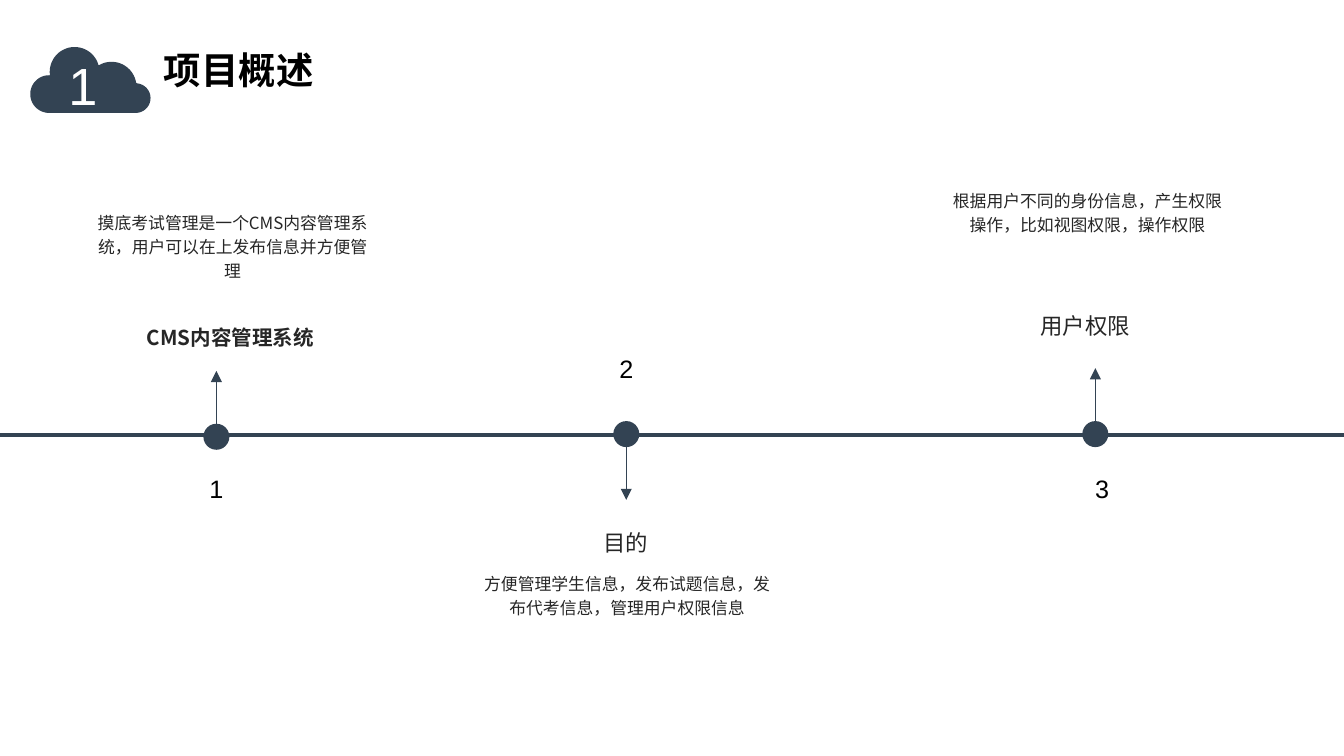
"""Build the project overview slide: a timeline with three stops."""
from dataclasses import dataclass
from math import cos, radians, sin

from lxml import etree
from pptx import Presentation, util as u
from pptx.dml.color import RGBColor
from pptx.enum import shapes, text
from pptx.oxml.ns import qn

NAVY = RGBColor(0x33, 0x43, 0x53)
DARK = RGBColor(0x26, 0x26, 0x26)
BLACK = RGBColor(0, 0, 0)
WHITE = RGBColor(0xFF, 0xFF, 0xFF)
CJK, LATIN = "Noto Sans CJK SC", "Arial"
COLS, ROWS = 100, 56.25
CELL = u.Inches(0.1)
AXIS, RADIUS, ARROW, HEADING_WIDTH = 32.4, 0.9, 4, 23.3


@dataclass(frozen=True)
class Style:
    size: float
    color: RGBColor
    font: str = CJK
    bold: bool = False
    leading: float | None = None
    align: text.PP_ALIGN = text.PP_ALIGN.CENTER


@dataclass(frozen=True)
class Stop:
    number: str
    col: float
    row: float
    direction: int
    number_at: tuple[float, float]
    heading: str
    heading_at: tuple[float, float]
    heading_style: Style
    body: str
    body_at: tuple[float, float]
    body_size: tuple[float, float]


@dataclass(frozen=True)
class Lobe:
    col: float
    row: float
    radius: float
    start: int
    end: int


TITLE = Style(20, BLACK, bold=True, leading=24, align=text.PP_ALIGN.LEFT)
HEADING = Style(12, DARK, leading=14.4)
BOLD_HEADING = Style(11, DARK, bold=True, leading=13.2)
BODY = Style(9, DARK, leading=13)
NUMBER = Style(13.5, BLACK, LATIN)
BADGE = Style(28, WHITE, LATIN, align=text.PP_ALIGN.LEFT)

STOPS = (
    Stop("1", 16.1, 32.5, -1, (12.7, 34.7), "CMS内容管理系统", (5.5, 23.7), BOLD_HEADING,
         "摸底考试管理是一个CMS内容管理系统，用户可以在上发布信息并方便管理", (5.7, 15), (23.2, 9.2)),
    Stop("2", 46.6, 32.3, 1, (43.2, 25.8), "目的", (34.9, 38.9), HEADING,
         "方便管理学生信息，发布试题信息，发布代考信息，管理用户权限信息", (35, 41.9), (23.3, 8.6)),
    Stop("3", 81.5, 32.3, -1, (78.6, 34.7), "用户权限", (69.1, 22.7), HEADING,
         "根据用户不同的身份信息，产生权限操作，比如视图权限，操作权限", (69.3, 13.4), (23.2, 7.8)),
)
CLOUD = (
    Lobe(3.65, 7, 1.4, 90, 270),
    Lobe(5.55, 5.35, 1.85, 172, 346),
    Lobe(8.3, 6.45, 1.85, 237, 352),
    Lobe(10.1, 7.3, 1.1, 275, 450),
)


def grid(cells: float) -> int:
    """Convert grid cells to a length."""
    return round(cells * CELL)


def write(sp, words: str, style: Style) -> None:
    """Put one styled paragraph in a shape."""
    tf = sp.text_frame
    tf.word_wrap = True
    tf.auto_size = text.MSO_AUTO_SIZE.NONE
    tf.vertical_anchor = text.MSO_ANCHOR.TOP
    tf.text = words
    p = tf.paragraphs[0]
    p.alignment = style.align
    if style.leading:
        p.line_spacing = u.Pt(style.leading)
    f = p.runs[0].font
    f.name, f.size, f.bold = style.font, u.Pt(style.size), style.bold
    f.color.rgb = style.color
    etree.SubElement(p.runs[0].font._element, qn("a:ea"), typeface=style.font)


def add_text(s, words: str, at: tuple[float, float], size: tuple[float, float], style: Style) -> None:
    """Add a text box on the grid."""
    write(s.shapes.add_textbox(*map(grid, at + size)), words, style)


def paint(sp) -> None:
    """Give a shape the flat navy look."""
    sp.shadow.inherit = False
    sp.fill.solid()
    sp.fill.fore_color.rgb = NAVY
    sp.line.color.rgb = NAVY
    sp.line.width = u.Pt(1)


def add_line(s, start: tuple[float, float], end: tuple[float, float], width: float, arrow: bool = False) -> None:
    """Add a straight navy line, with an arrowhead if wanted."""
    c = s.shapes.add_connector(shapes.MSO_CONNECTOR.STRAIGHT, *map(grid, start + end))
    c.line.color.rgb = NAVY
    c.line.width = u.Pt(width)
    if arrow:
        etree.SubElement(c.line._get_or_add_ln(), qn("a:tailEnd"), type="triangle")
    etree.SubElement(c._element.spPr, qn("a:effectLst"))


def add_cloud(s, lobes: tuple[Lobe, ...]) -> None:
    """Add a cloud outlined by the arcs of its lobes."""
    points = [
        (grid(b.col + b.radius * cos(radians(a))), grid(b.row + b.radius * sin(radians(a))))
        for b in lobes
        for a in range(b.start, b.end + 1, 3)
    ]
    builder = s.shapes.build_freeform(*points[0])
    builder.add_line_segments(points[1:], close=True)
    sp = builder.convert_to_shape()
    paint(sp)
    sp.line.fill.background()


def add_stop(s, stop: Stop) -> None:
    """Add a stop with its dot, arrow, number and texts."""
    box = (stop.col - RADIUS, stop.row - RADIUS, 2 * RADIUS, 2 * RADIUS)
    paint(s.shapes.add_shape(shapes.MSO_SHAPE.OVAL, *map(grid, box)))
    edge = stop.row + stop.direction * RADIUS
    add_line(s, (stop.col, edge), (stop.col, edge + stop.direction * ARROW), 0.5, arrow=True)
    add_text(s, stop.body, stop.body_at, stop.body_size, BODY)
    add_text(s, stop.heading, stop.heading_at, (HEADING_WIDTH, 3), stop.heading_style)
    add_text(s, stop.number, stop.number_at, (6.8, 3.3), NUMBER)


def main() -> None:
    """Build and save the slide."""
    prs = Presentation()
    prs.slide_width, prs.slide_height = grid(COLS), grid(ROWS)
    s = prs.slides.add_slide(prs.slide_layouts[5])
    title = s.shapes.title
    title.left, title.top, title.width, title.height = map(grid, (11.2, 3, 37.6, 4.4))
    write(title, "项目概述", TITLE)
    add_line(s, (0, AXIS), (COLS, AXIS), 2.25)
    for stop in STOPS:
        add_stop(s, stop)
    add_cloud(s, CLOUD)
    add_text(s, "1", (4.1, 3.5), (5.2, 5.7), BADGE)
    prs.save("out.pptx")


if __name__ == "__main__":
    main()
